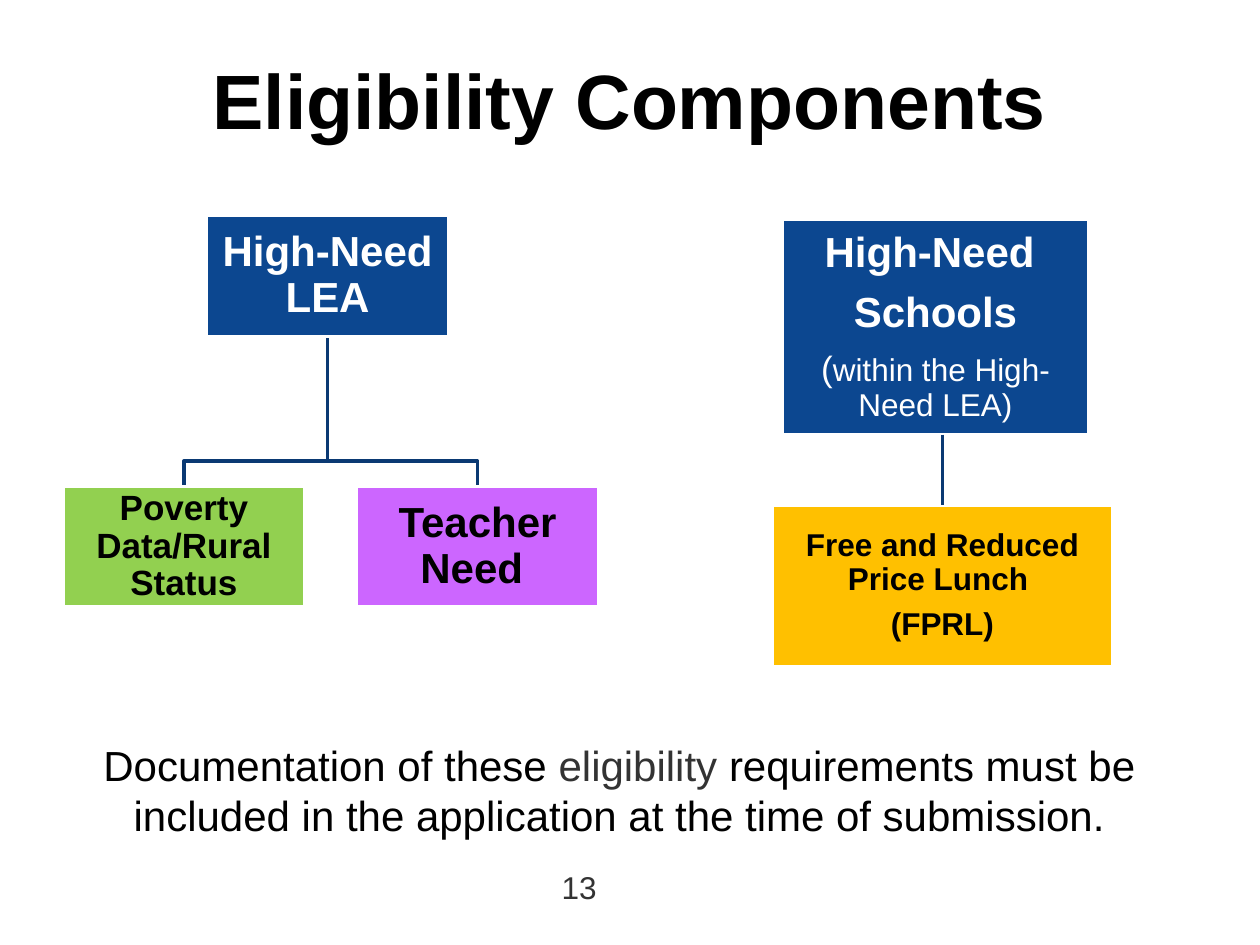
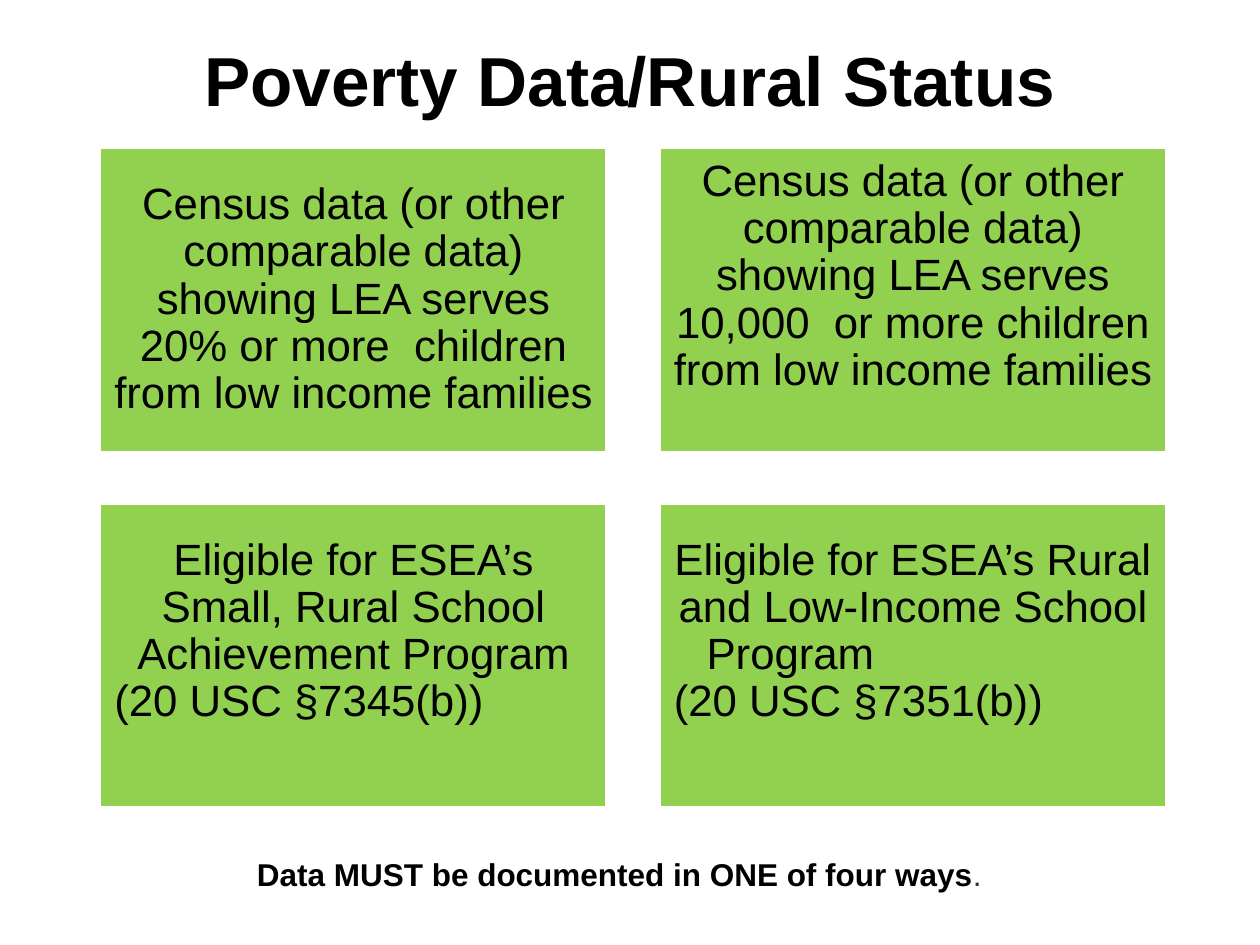
from dataclasses import dataclass

from lxml.etree import SubElement
from pptx import Presentation
from pptx.dml.color import RGBColor
from pptx.enum.shapes import MSO_CONNECTOR as Connector, MSO_SHAPE as Preset
from pptx.enum.text import MSO_ANCHOR as Anchor, PP_ALIGN as Align
from pptx.oxml.ns import qn
from pptx.shapes.autoshape import Shape
from pptx.slide import Slide
from pptx.text.text import TextFrame
from pptx.util import Inches, Pt

FONT = "Arial"
COLORS = {
    "black": "000000", "white": "FFFFFF", "gray": "333333", "navy": "0C4790",
    "branch": "0A3973", "green": "92D050", "purple": "CC66FF", "amber": "FFC000",
}


@dataclass(frozen=True)
class Span:
    text: str
    size: float
    bold: bool = False
    color: str = "black"


@dataclass(frozen=True)
class Para:
    spans: tuple[Span, ...]
    align: Align = Align.CENTER
    before: float = 0
    indent: float = 0


@dataclass(frozen=True)
class Box:
    left: float
    top: float
    width: float
    height: float
    fill: str
    paras: tuple[Para, ...]
    inset: float = 0.02
    spare: float = 0  # extra room kept free below the text


def rgb(name: str) -> RGBColor:
    return RGBColor.from_string(COLORS[name])


def line_of(text: str, size: float, bold: bool = False, color: str = "black",
            **layout) -> Para:
    return Para((Span(text, size, bold, color),), **layout)


def write(frame: TextFrame, paras: tuple[Para, ...], spacing: float | None = None) -> None:
    frame.word_wrap = True
    for index, para in enumerate(paras):
        paragraph = frame.paragraphs[0] if index == 0 else frame.add_paragraph()
        paragraph.alignment = para.align
        if spacing:
            paragraph.line_spacing = spacing
        if para.before:
            paragraph.space_before = Pt(para.before)
        if para.indent:
            paragraph._p.get_or_add_pPr().set("marL", str(Inches(para.indent)))
        for span in para.spans:
            run = paragraph.add_run()
            run.text = span.text
            run.font.name = FONT
            run.font.size = Pt(span.size)
            run.font.bold = span.bold
            run.font.color.rgb = rgb(span.color)


def add_text(slide: Slide, left: float, top: float, width: float, height: float,
             *paras: Para) -> Shape:
    holder = slide.shapes.add_textbox(Inches(left), Inches(top), Inches(width), Inches(height))
    write(holder.text_frame, paras)
    return holder


def add_title(slide: Slide, text: str, top: float, height: float, size: float) -> Shape:
    return add_text(slide, 0.5, top, 9, height, line_of(text, size, True))


def add_box(slide: Slide, box: Box) -> Shape:
    shape = slide.shapes.add_shape(Preset.RECTANGLE, Inches(box.left), Inches(box.top),
                                   Inches(box.width), Inches(box.height))
    shape.shadow.inherit = False
    shape.fill.solid()
    shape.fill.fore_color.rgb = rgb(box.fill)
    shape.line.color.rgb = rgb("white")
    shape.line.width = Pt(2)
    frame = shape.text_frame
    frame.vertical_anchor = Anchor.MIDDLE
    frame.margin_left = frame.margin_right = frame.margin_top = Inches(box.inset)
    frame.margin_bottom = Inches(box.inset + box.spare)
    write(frame, box.paras, spacing=0.9)
    return shape


def add_elbow(slide: Slide, *points: tuple[float, float]) -> None:
    start, *turns = [(Inches(x), Inches(y)) for x, y in points]
    builder = slide.shapes.build_freeform(*start)
    builder.add_line_segments(turns, close=False)
    elbow = builder.convert_to_shape()
    elbow.shadow.inherit = False
    elbow.fill.background()
    elbow.line.color.rgb = rgb("branch")
    elbow.line.width = Pt(2)


def build_components(slide: Slide) -> None:
    title = add_title(slide, "Eligibility Components", 0.37, 1.37, 44)
    title.fill.solid()
    title.fill.fore_color.rgb = rgb("white")
    add_text(slide, 4.36, 6.84, 1.27, 0.4,
             line_of("13", 18, color="gray", align=Align.LEFT))

    # District tree
    trunk, fork = 2.6, 3.66
    for center in (3.79, 1.46):
        add_elbow(slide, (trunk, 2.67), (trunk, fork), (center, fork), (center, 3.86))
    add_box(slide, Box(1.64, 1.71, 1.92, 0.96, "navy",
                       (line_of("High-Need LEA", 24, True, "white"),)))
    add_box(slide, Box(0.5, 3.86, 1.92, 0.96, "green",
                       (line_of("Poverty Data/Rural Status", 20, True),), 0.01))
    add_box(slide, Box(2.83, 3.86, 1.92, 0.96, "purple",
                       (line_of("Teacher Need ", 24, True),)))

    # School tree
    add_box(slide, Box(6.21, 1.74, 2.43, 1.71, "navy", (
        line_of("High-Need ", 24, True, "white"),
        line_of("Schools", 24, True, "white", before=8.4),
        Para((Span("(", 20, color="white"),
              Span("within the High-Need LEA)", 18, color="white")), before=8.4),
    )))
    lunch = add_box(slide, Box(6.13, 4.01, 2.7, 1.28, "amber", (
        line_of("Free and Reduced Price Lunch ", 18, True),
        line_of("(FPRL)", 18, True, before=6.3),
    ), 0.01))
    stem = slide.shapes.add_connector(Connector.STRAIGHT, Inches(7.48), Inches(3.45),
                                      Inches(7.48), Inches(4.01))
    stem.end_connect(lunch, 0)
    stem.line.color.rgb = rgb("branch")
    stem.line.width = Pt(2)
    SubElement(stem._element.spPr, qn("a:effectLst"))

    # Requirement
    add_text(slide, 0.5, 5.82, 8.83, 0.91, Para((
        Span("Documentation of these ", 24),
        Span("eligibility ", 24, color="gray"),
        Span("requirements must be included in the application at the time of submission.", 24),
    )))


def build_poverty(slide: Slide) -> None:
    add_title(slide, "Poverty Data/Rural Status", 0.25, 0.8, 39.6)

    # Four ways to document the data, in a two by two grid
    size, text_line, edge = 25, 0.37, 0.02
    census = "Census data (or other comparable data) showing LEA serves "
    families = "children from low income families"
    ways = (
        ((line_of(census + "20% or more  " + families, size),), 0),
        ((line_of(census + "10,000  or more " + families, size),), text_line),
        ((line_of("Eligible for ESEA’s Small, Rural School Achievement Program", size),
          line_of("(20 USC §7345(b))", size, align=Align.LEFT, indent=edge)), text_line),
        ((line_of("Eligible for ESEA’s Rural and Low-Income School", size),
          line_of("Program", size, align=Align.LEFT, indent=0.28),
          line_of("(20 USC §7351(b))", size, align=Align.LEFT, indent=edge)), text_line),
    )
    width, height = 4.03, 2.42
    for index, (paras, spare) in enumerate(ways):
        row, column = divmod(index, 2)
        add_box(slide, Box(0.79 + column * 4.44, 1.17 + row * 2.82,
                           width, height, "green", paras, 0.1, spare))

    # Rule
    add_text(slide, 1, 6.74, 7.83, 0.4, Para((
        Span("Data MUST be documented in ONE of four ways", 18, True),
        Span(".", 18, color="gray"),
    )))


def main() -> None:
    deck = Presentation()
    deck.slide_width, deck.slide_height = Inches(10), Inches(7.5)
    for build in (build_components, build_poverty):
        build(deck.slides.add_slide(deck.slide_layouts[6]))
    deck.save("out.pptx")


if __name__ == "__main__":
    main()
